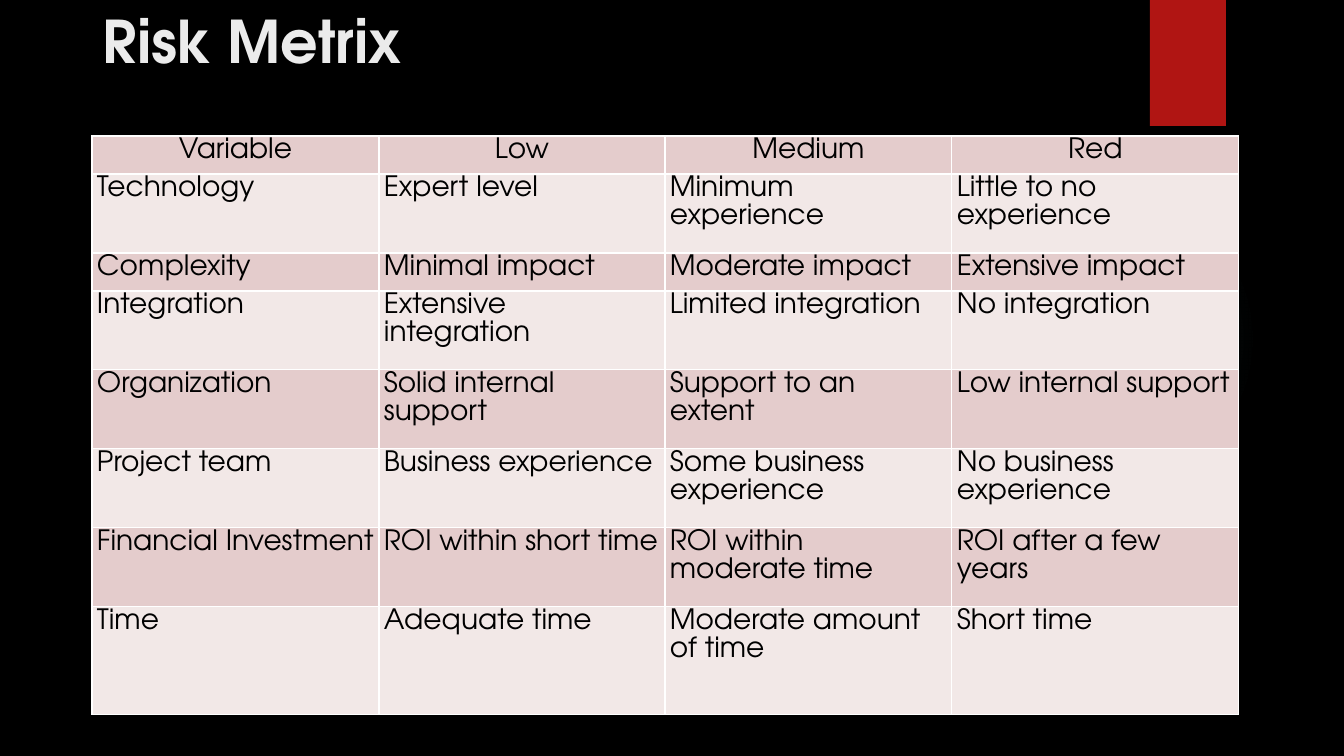
import pptx
import pptx.dml.color
import pptx.enum.shapes
import pptx.enum.text
import pptx.oxml
import pptx.oxml.ns
import pptx.util

TITLE = "Risk Metrix"
RISKS = [
    ("Variable", "Low", "Medium", "Red"),
    ("Technology", "Expert level", "Minimum experience", "Little to no experience"),
    ("Complexity", "Minimal impact", "Moderate impact", "Extensive impact"),
    ("Integration", "Extensive integration", "Limited integration", "No integration"),
    ("Organization", "Solid internal support", "Support to an extent", "Low internal support"),
    ("Project team", "Business experience", "Some business experience", "No business experience"),
    ("Financial Investment", "ROI within short time", "ROI within moderate time", "ROI after a few years"),
    ("Time", "Adequate time", "Moderate amount of time", "Short time"),
]
ROW_HEIGHTS = [38, 79, 38, 79, 79, 79, 79, 108]
COLUMN_WIDTHS = [287, 286, 287, 287]
GLOW_STOPS = [(0, 7), (36, 6), (69, 0)]

THEME = {
    "font": "TeX Gyre Adventor",
    "background": "000000",
    "title": "EBEBEB",
    "text": "000000",
    "bands": ("E4CCCC", "F2E8E7"),
    "border": "FFFFFF",
    "ribbon": "B01513",
    "glow": "50B9C1",
    "title_size": 42,
    "cell_size": 20,
}
EMU_PER_PX = 914400 / 100.8


def px(length):
    return pptx.util.Emu(round(length * EMU_PER_PX))


def rgb(name):
    return pptx.dml.color.RGBColor.from_string(name)


def style_text(paragraph, size, color, bold=False):
    for run in paragraph.runs:
        run.font.name = THEME["font"]
        run.font.size = pptx.util.Pt(size)
        run.font.bold = bold
        run.font.color.rgb = rgb(color)


def add_plain(slide, kind, left, top, width, height):
    part = slide.shapes.add_shape(kind, px(left), px(top), px(width), px(height))
    part.shadow.inherit = False
    part.line.fill.background()
    return part


def add_glow(slide):
    glow = add_plain(slide, pptx.enum.shapes.MSO_SHAPE.OVAL, 949, 184, 310, 310)
    glow.fill.background()
    stops = "".join(
        f'<a:gs pos="{position * 1000}"><a:srgbClr val="{THEME["glow"]}">'
        f'<a:alpha val="{opacity * 1000}"/></a:srgbClr></a:gs>'
        for position, opacity in GLOW_STOPS
    )
    gradient = pptx.oxml.parse_xml(
        f'<a:gradFill {pptx.oxml.ns.nsdecls("a")}><a:gsLst>{stops}</a:gsLst>'
        '<a:path path="circle"><a:fillToRect l="50000" t="50000" r="50000" b="50000"/>'
        '</a:path></a:gradFill>'
    )
    properties = glow.element.spPr
    properties.replace(properties.find(pptx.oxml.ns.qn("a:noFill")), gradient)


def add_ribbon(slide):
    ribbon = add_plain(slide, pptx.enum.shapes.MSO_SHAPE.RECTANGLE, 1150, 0, 76, 126)
    ribbon.fill.solid()
    ribbon.fill.fore_color.rgb = rgb(THEME["ribbon"])


def add_title(slide):
    heading = slide.shapes.add_textbox(px(93), px(0), px(1159), px(146)).text_frame
    heading.word_wrap = True
    heading.vertical_anchor = pptx.enum.text.MSO_ANCHOR.TOP
    heading.text = TITLE
    style_text(heading.paragraphs[0], THEME["title_size"], THEME["title"], bold=True)


def add_borders(cell):
    properties = cell._tc.get_or_add_tcPr()
    for index, side in enumerate("LRTB"):
        properties.insert(index, pptx.oxml.parse_xml(
            f'<a:ln{side} {pptx.oxml.ns.nsdecls("a")} w="12700"><a:solidFill>'
            f'<a:srgbClr val="{THEME["border"]}"/></a:solidFill></a:ln{side}>'
        ))


def fill_cell(cell, wording, row):
    cell.margin_left = cell.margin_right = px(5)
    cell.margin_top = cell.margin_bottom = 0
    cell.fill.solid()
    cell.fill.fore_color.rgb = rgb(THEME["bands"][row % 2])
    add_borders(cell)
    cell.text_frame.text = wording
    paragraph = cell.text_frame.paragraphs[0]
    paragraph.line_spacing = 1.07
    paragraph.space_after = pptx.util.Pt(8)
    if row == 0:
        paragraph.alignment = pptx.enum.text.PP_ALIGN.CENTER
    style_text(paragraph, THEME["cell_size"], THEME["text"])


def add_risks(slide):
    risks = slide.shapes.add_table(
        len(RISKS), len(COLUMN_WIDTHS), px(92), px(136),
        px(sum(COLUMN_WIDTHS)), px(sum(ROW_HEIGHTS)),
    ).table
    risks.first_row = False
    risks.horz_banding = False
    for column, width in zip(risks.columns, COLUMN_WIDTHS):
        column.width = px(width)
    for row, (height, wordings) in enumerate(zip(ROW_HEIGHTS, RISKS)):
        risks.rows[row].height = px(height)
        for column, wording in enumerate(wordings):
            fill_cell(risks.cell(row, column), wording, row)


def main():
    deck = pptx.Presentation()
    deck.slide_width, deck.slide_height = px(1344), px(756)
    slide = deck.slides.add_slide(deck.slide_layouts[6])
    slide.background.fill.solid()
    slide.background.fill.fore_color.rgb = rgb(THEME["background"])
    add_glow(slide)
    add_ribbon(slide)
    add_title(slide)
    add_risks(slide)
    deck.save("out.pptx")


if __name__ == "__main__":
    main()
